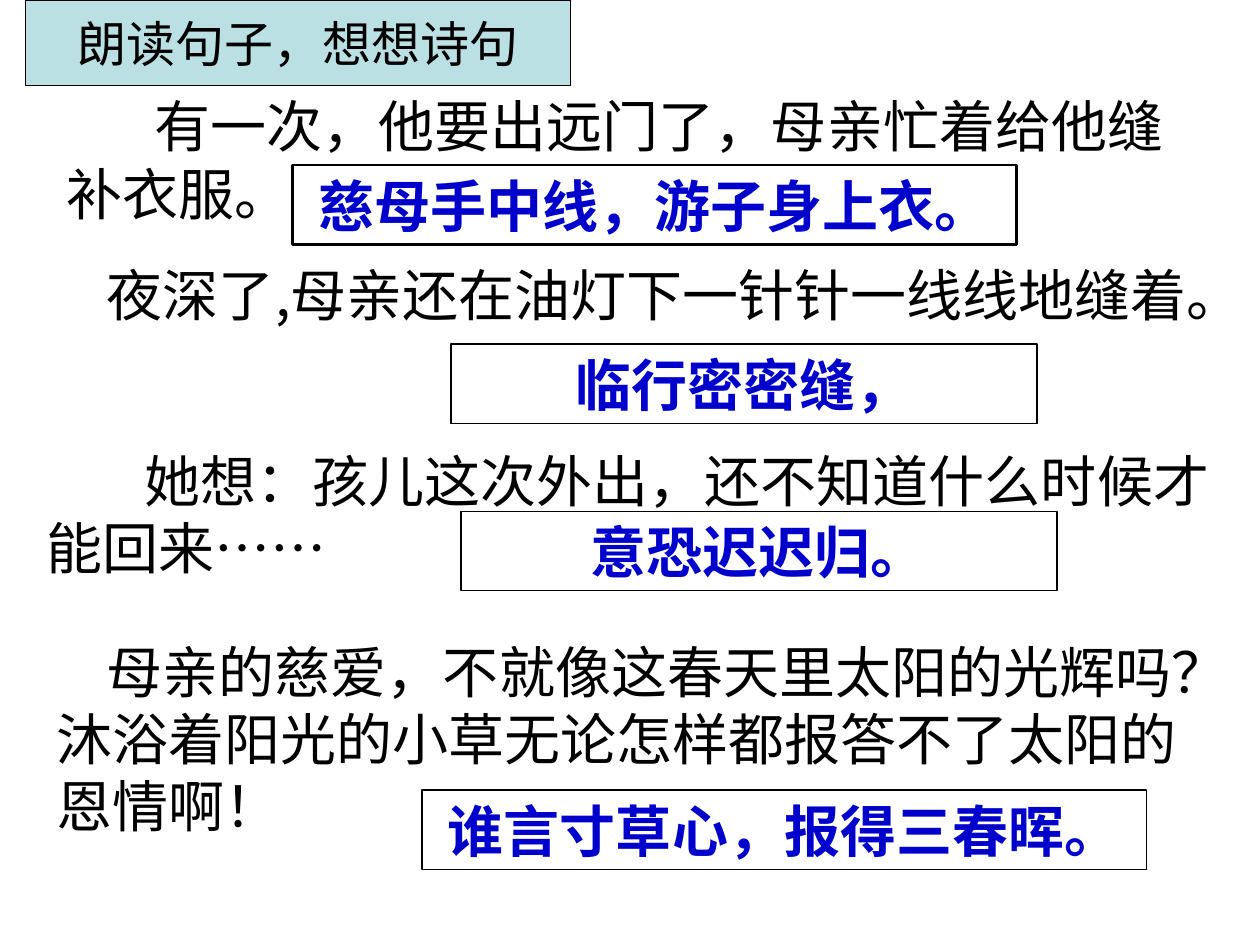
import pptx
import pptx.dml.color
import pptx.enum.shapes
import pptx.enum.text
import pptx.util

Inches = pptx.util.Inches
MIDDLE = pptx.enum.text.MSO_ANCHOR.MIDDLE
CENTER = pptx.enum.text.PP_ALIGN.CENTER

BLACK, VERSE_BLUE, TITLE_FILL = "000000", "0000CC", "BBE0E3"
CJK = "Noto Sans CJK SC"

# Prose sentences: text, box, first-line indent, font, top inset
SENTENCES = [
    ("有一次，他要出远门了，母亲忙着给他缝补衣服。",
     (0.43, 0.68, 9.21, 1.17), 0.7, "Arial", 0.05),
    ("夜深了,母亲还在油灯下一针针一线线地缝着。",
     (0.35, 2.02, 9.37, 1.17), 0.4, CJK, 0.05),
    ("她想：孩儿这次外出，还不知道什么时候才能回来……",
     (0.27, 3.44, 9.73, 1.24), 0.78, "Arial", 0.1),
    ("母亲的慈爱，不就像这春天里太阳的光辉吗？沐浴着阳光的小草无论怎样都报答不了太阳的恩情啊！",
     (0.35, 5.01, 9.29, 1.7), 0.4, CJK, 0.05),
]

# Matching lines of the poem: text, box, outline width
VERSES = [
    ("慈母手中线，游子身上衣。", (2.32, 1.31, 5.75, 0.63), 1.5),
    ("临行密密缝，", (3.58, 2.73, 4.65, 0.63), 0.75),
    ("意恐迟迟归。", (3.66, 4.06, 4.73, 0.63), 0.75),
    ("谁言寸草心，报得三春晖。", (3.35, 6.27, 5.75, 0.63), 0.75),
]


def color(hex_string):
    return pptx.dml.color.RGBColor.from_string(hex_string)


def set_all(target, values):
    for name, value in values.items():
        setattr(target, name, value)


def write(frame, text, size, font_color, font="Arial", bold=False):
    paragraph = frame.paragraphs[0]
    run = paragraph.add_run()
    run.text = text
    set_all(run.font, {"name": font, "size": pptx.util.Pt(size), "bold": bold})
    run.font.color.rgb = color(font_color)
    return paragraph


def add_sentence(slide, text, box, indent, font, top_inset):
    sentence = slide.shapes.add_textbox(*map(Inches, box))
    set_all(sentence.text_frame,
            {"word_wrap": True, "margin_top": Inches(top_inset)})
    paragraph = write(sentence.text_frame, text, 32, BLACK, font)
    paragraph._p.get_or_add_pPr().set("indent", str(Inches(indent)))


def add_panel(slide, text, box, size, font_color,
              line_width=0.75, fill=None, bold=False):
    panel = slide.shapes.add_shape(
        pptx.enum.shapes.MSO_SHAPE.RECTANGLE, *map(Inches, box))
    panel.shadow.inherit = False
    if fill:
        panel.fill.solid()
        panel.fill.fore_color.rgb = color(fill)
    else:
        panel.fill.background()
    panel.line.color.rgb = color(BLACK)
    panel.line.width = pptx.util.Pt(line_width)
    set_all(panel.text_frame, {"word_wrap": False, "vertical_anchor": MIDDLE})
    paragraph = write(panel.text_frame, text, size, font_color, bold=bold)
    paragraph.alignment = CENTER


def main():
    deck = pptx.Presentation()
    set_all(deck, {"slide_width": Inches(10), "slide_height": Inches(7.5)})
    slide = deck.slides.add_slide(deck.slide_layouts[6])

    # Heading
    add_panel(slide, "朗读句子，想想诗句", (0.2, 0, 4.33, 0.68), 28, BLACK,
              fill=TITLE_FILL)

    # Sentences, with the verses on top
    for sentence in SENTENCES:
        add_sentence(slide, *sentence)
    for text, box, line_width in VERSES:
        add_panel(slide, text, box, 32, VERSE_BLUE, line_width, bold=True)

    deck.save("out.pptx")


if __name__ == "__main__":
    main()
